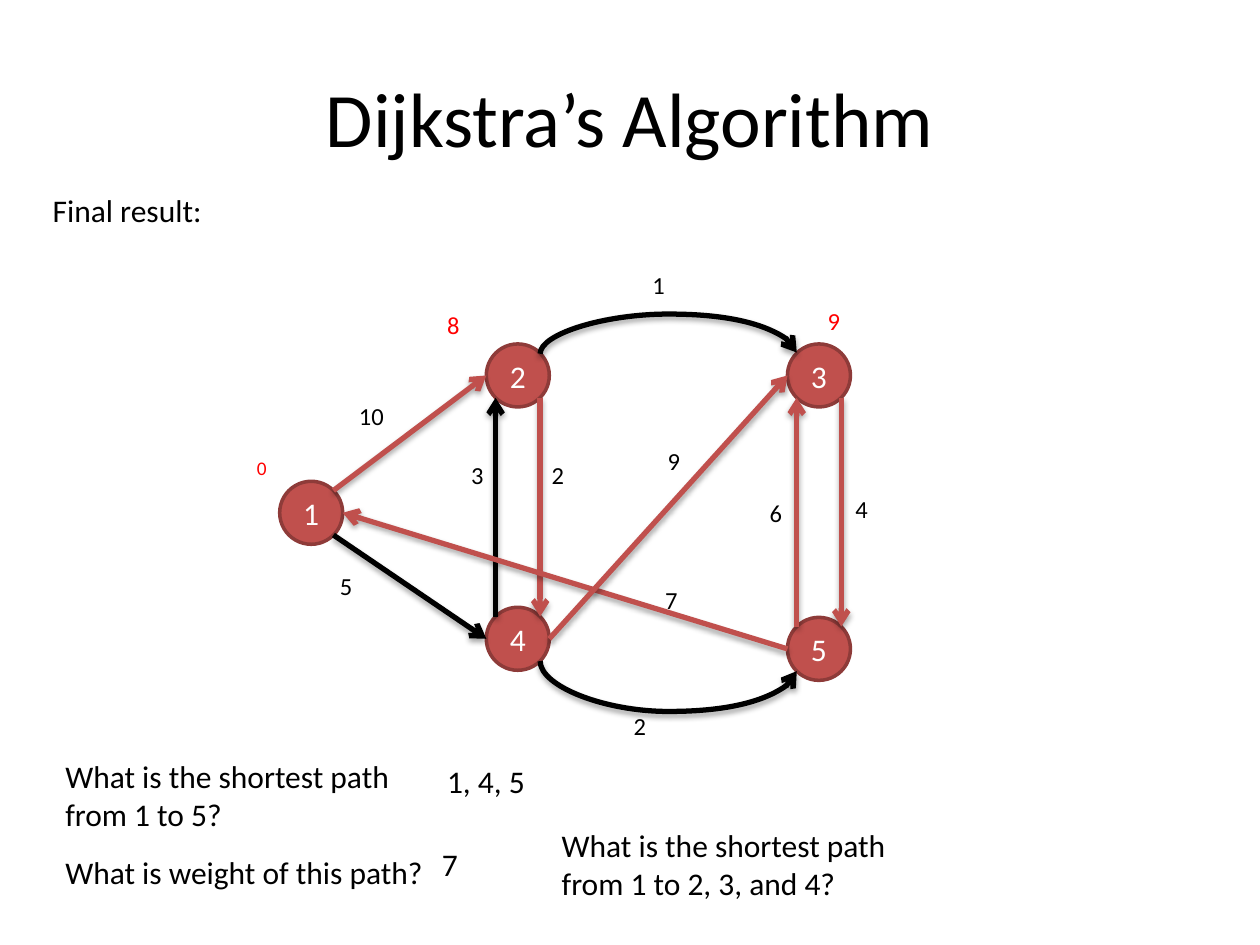
from lxml import etree
from pptx import Presentation, util as u
from pptx.dml.color import RGBColor
from pptx.enum import shapes, text
from pptx.oxml import parse_xml
from pptx.oxml.ns import nsdecls, qn

W, H = 10, 7.5
FONT = "Calibri"
RED, DARK_RED, BLACK, WHITE, BRIGHT = "C0504D", "8E3B39", "000000", "FFFFFF", "FF0000"
D = 0.5
DIAG = D / 2 * 0.7071

NODES = {
    "1": (2.47, 4.07),
    "2": (4.11, 2.98),
    "3": (6.5, 2.98),
    "4": (4.11, 5.07),
    "5": (6.5, 5.15),
}
PORTS = {
    "nw": (1, -DIAG, -DIAG),
    "w": (2, -D / 2, 0),
    "sw": (3, -DIAG, DIAG),
    "se": (5, DIAG, DIAG),
    "e": (6, D / 2, 0),
    "ne": (7, DIAG, -DIAG),
}
# start, port, end, port, colour, bend (up is negative)
EDGES = [
    ("1", "ne", "2", "w", RED, 0),
    ("2", "se", "4", "ne", RED, 0),
    ("1", "se", "4", "w", BLACK, 0),
    ("4", "se", "5", "sw", BLACK, 0.4),
    ("2", "ne", "3", "nw", BLACK, -0.32),
    ("5", "nw", "3", "sw", RED, 0),
    ("4", "nw", "2", "sw", BLACK, 0),
    ("5", "w", "1", "e", RED, 0),
    ("3", "se", "5", "ne", RED, 0),
    ("4", "e", "3", "w", RED, 0),
]
WEIGHTS = [
    ("10", 2.75, 3.13), ("5", 2.6, 4.48), ("3", 3.64, 3.6), ("2", 4.28, 3.6),
    ("1", 5.08, 2.09), ("2", 4.93, 5.59), ("4", 6.69, 3.87), ("9", 5.2, 3.49),
    ("7", 5.18, 4.59), ("6", 6.01, 3.9),
]
DISTANCES = [("0", 1.94, 3.57, 11), ("8", 3.45, 2.41, 14), ("9", 6.47, 2.38, 14)]
NOTES = [
    ("Final result:", 0.32, 1.47, 0.4),
    ("What is the shortest path from 1 to 5?", 0.42, 5.96, 0.71),
    ("What is weight of this path?", 0.42, 6.72, 0.4),
    ("1, 4, 5", 3.45, 6, 0.4),
    ("7", 3.41, 6.66, 0.4),
    ("What is the shortest path from 1 to 2, 3, and 4?", 4.36, 6.51, 0.71),
]


def rgb(color):
    return RGBColor.from_string(color)


def write(sp, content, size, color, align=None, anchor=text.MSO_ANCHOR.TOP):
    tf = sp.text_frame
    tf.word_wrap = True
    tf.vertical_anchor = anchor
    p = tf.paragraphs[0]
    p.alignment = align
    r = p.add_run()
    r.text = content
    r.font.name, r.font.size = FONT, u.Pt(size)
    r.font.color.rgb = rgb(color)


def add_text(s, content, x, y, w, h, size, color=BLACK, **kw):
    sp = s.shapes.add_textbox(*map(u.Inches, (x, y, w, h)))
    write(sp, content, size, color, **kw)


def add_node(s, name, x, y):
    box = map(u.Inches, (x - D / 2, y - D / 2, D, D))
    sp = s.shapes.add_shape(shapes.MSO_SHAPE.OVAL, *box)
    sp.shadow.inherit = False
    sp.fill.solid()
    sp.fill.fore_color.rgb = rgb(RED)
    sp.line.color.rgb = rgb(DARK_RED)
    sp.line.width = u.Pt(2)
    write(sp, name, 18, WHITE, text.PP_ALIGN.CENTER, text.MSO_ANCHOR.MIDDLE)
    return sp


def bend_edge(c, x1, y1, x2, y2, bend):
    w, h = max(abs(y2 - y1), 0.01), x2 - x1
    cx, cy = (x1 + x2) / 2, (y1 + y2) / 2
    c.left, c.top = u.Inches(cx - w / 2), u.Inches(cy - h / 2)
    c.width, c.height = u.Inches(w), u.Inches(h)
    up = bend < 0
    spPr = c.element.spPr
    xfrm = spPr.find(qn("a:xfrm"))
    xfrm.set("rot", str((90 if up else 270) * 60000))
    xfrm.set("flipH", "1")
    xfrm.set("flipV", "1" if up else "0")
    geom = spPr.find(qn("a:prstGeom"))
    adj = round(abs(bend) / w * 100000)
    geom.find(qn("a:avLst")).append(
        parse_xml(f'<a:gd {nsdecls("a")} name="adj1" fmla="val {adj}"/>'))


def add_edge(s, ovals, start, port1, end, port2, color, bend):
    kind = shapes.MSO_CONNECTOR.CURVE if bend else shapes.MSO_CONNECTOR.STRAIGHT
    ends = []
    for name, port in ((start, port1), (end, port2)):
        x, y = NODES[name]
        _, dx, dy = PORTS[port]
        ends += [x + dx, y + dy]
    c = s.shapes.add_connector(kind, *map(u.Inches, ends))
    if bend:
        bend_edge(c, *ends, bend)
    glue = c.element.find(".//" + qn("p:cNvCxnSpPr"))
    for tag, name, port in (("a:stCxn", start, port1), ("a:endCxn", end, port2)):
        etree.SubElement(glue, qn(tag), id=str(ovals[name].shape_id),
                         idx=str(PORTS[port][0]))
    c.line.color.rgb = rgb(color)
    c.line.width = u.Pt(3)
    spPr = c.element.spPr
    etree.SubElement(spPr.find(qn("a:ln")), qn("a:tailEnd"), type="arrow")
    spPr.append(parse_xml(
        f'<a:effectLst {nsdecls("a")}><a:outerShdw blurRad="40000" dist="23000" '
        'dir="5400000" rotWithShape="0"><a:srgbClr val="000000">'
        '<a:alpha val="35000"/></a:srgbClr></a:outerShdw></a:effectLst>'))


def main():
    prs = Presentation()
    prs.slide_width, prs.slide_height = u.Inches(W), u.Inches(H)
    s = prs.slides.add_slide(prs.slide_layouts[6])
    add_text(s, "Dijkstra’s Algorithm", 0.05 * W, 0.04 * H, 0.9 * W, 1.25, 44,
             align=text.PP_ALIGN.CENTER, anchor=text.MSO_ANCHOR.MIDDLE)
    ovals = {name: add_node(s, name, x, y) for name, (x, y) in NODES.items()}
    for edge in EDGES:
        add_edge(s, ovals, *edge)
    for content, x, y in WEIGHTS:
        add_text(s, content, x, y, 0.47, 0.34, 14)
    for content, x, y, size in DISTANCES:
        add_text(s, content, x, y, 0.42, 0.34, size, BRIGHT)
    for content, x, y, h in NOTES:
        add_text(s, content, x, y, 0.33 * W, h, 18)
    prs.save("out.pptx")


if __name__ == "__main__":
    main()
